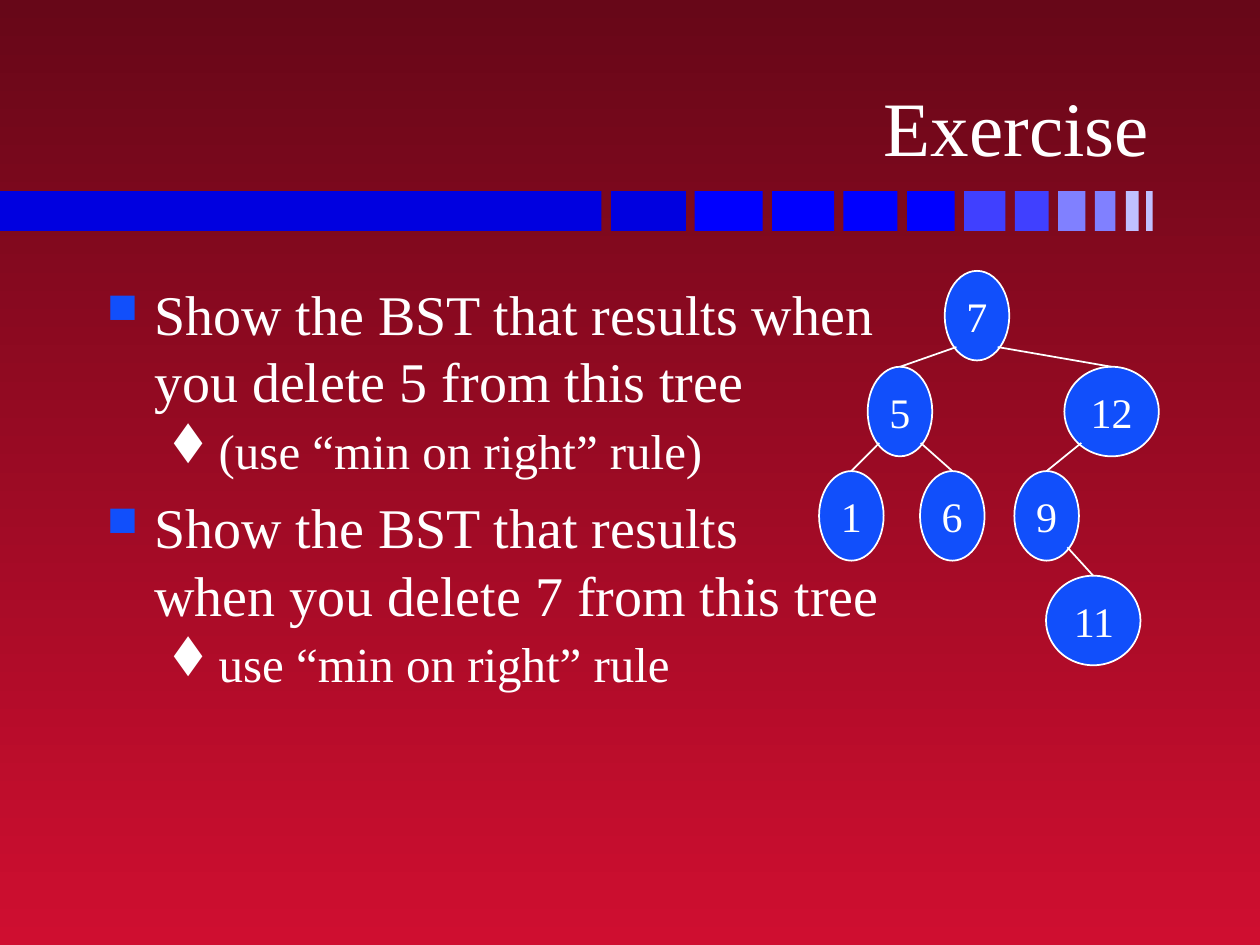
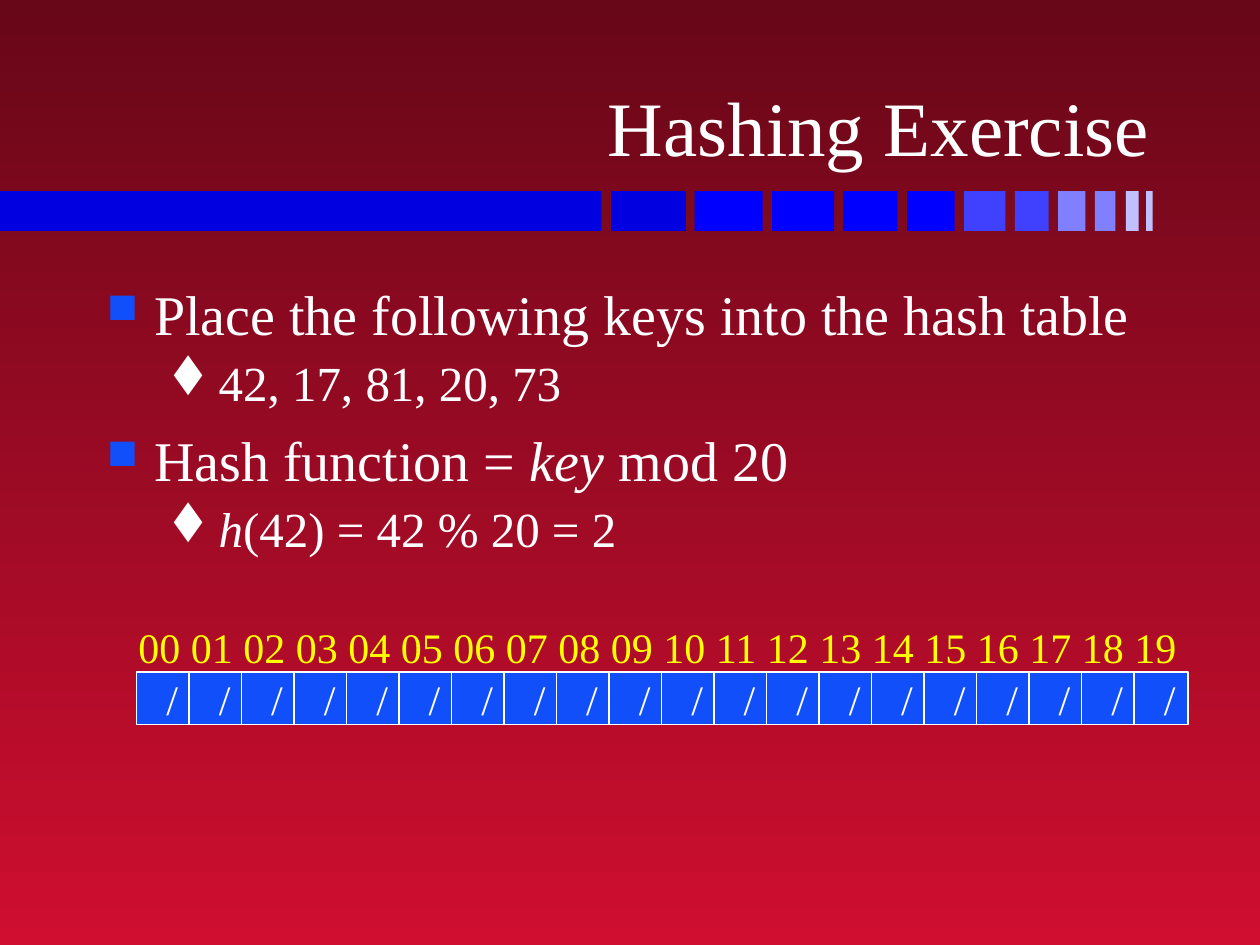
import pptx
import pptx.dml.color
import pptx.enum.shapes
import pptx.enum.text
import pptx.oxml.xmlchemy
import pptx.util

Pt = pptx.util.Pt
SHAPE = pptx.enum.shapes.MSO_SHAPE
ALIGN = pptx.enum.text.PP_ALIGN
ANCHOR = pptx.enum.text.MSO_ANCHOR
OxmlElement = pptx.oxml.xmlchemy.OxmlElement


def color(value):
    return pptx.dml.color.RGBColor.from_string(value)


def element(tag, **attributes):
    e = OxmlElement(tag)
    for name, value in attributes.items():
        e.set(name, str(value))
    return e


class Deck:
    FONT, BULLET_FONT = "Times New Roman", "Wingdings"
    WHITE, BLUE, YELLOW = "FFFFFF", "114FFB", "FFFF00"
    GRADIENT = ("670718", "CF0E30")
    BAND_TOP, BAND_HEIGHT = 109.2, 22.8
    BAND = [
        (0, 343.7, "0000E0"), (349.2, 42.8, "0000E0"),
        (396.9, 39, "0000FF"), (441.2, 35.4, "0000FF"),
        (481.9, 31, "0000FF"), (518.3, 27.3, "0000FF"),
        (550.9, 23.6, "4040FF"), (579.9, 19.3, "4040FF"),
        (604.6, 15.7, "8080FF"), (625.7, 11.7, "8080FF"),
        (643.3, 7.4, "C0C0FF"), (654.9, 3.7, "C0C0FF"),
    ]
    LEVELS = [
        dict(size=32, left=27, hang=27, before=8, mark="n", tint=BLUE, scale=75),
        dict(size=28, left=58.5, hang=22.5, before=3.5, mark="t", tint=WHITE, scale=100),
    ]

    def __init__(self):
        self.prs = pptx.Presentation()
        self.prs.slide_width, self.prs.slide_height = Pt(720), Pt(540)
        self.s = None

    def slide(self, title):
        self.s = self.prs.slides.add_slide(self.prs.slide_layouts[6])
        fill = self.s.background.fill
        fill.gradient()
        fill.gradient_angle = 270
        for stop, value in zip(fill.gradient_stops, self.GRADIENT):
            stop.color.rgb = color(value)
        for left, width, value in self.BAND:
            self.shape(SHAPE.RECTANGLE, left, self.BAND_TOP, width, self.BAND_HEIGHT, value)
        tf = self.text_box(53.3, 13.4, 610.5, 88.5)
        tf.vertical_anchor = ANCHOR.BOTTOM
        tf.paragraphs[0].alignment = ALIGN.RIGHT
        self.run(tf.paragraphs[0], title, 44)

    def run(self, p, text, size, value=WHITE, italic=False):
        r = p.add_run()
        r.text = text
        r.font.name, r.font.size, r.font.italic = self.FONT, Pt(size), italic
        r.font.color.rgb = color(value)

    def text_box(self, left, top, width, height, wrap=True):
        tf = self.s.shapes.add_textbox(Pt(left), Pt(top), Pt(width), Pt(height)).text_frame
        tf.word_wrap = wrap
        return tf

    def label(self, text, left, top, width, height):
        tf = self.text_box(left, top, width, height, wrap=False)
        self.run(tf.paragraphs[0], text, 24, self.YELLOW)

    def shape(self, kind, left, top, width, height, value):
        sp = self.s.shapes.add_shape(kind, Pt(left), Pt(top), Pt(width), Pt(height))
        sp.shadow.inherit = False
        sp.fill.solid()
        sp.fill.fore_color.rgb = color(value)
        sp.line.fill.background()
        return sp

    def cell(self, kind, text, left, top, width, height):
        sp = self.shape(kind, left, top, width, height, self.BLUE)
        sp.line.color.rgb = color(self.WHITE)
        sp.line.width = Pt(1)
        tf = sp.text_frame
        tf.word_wrap = False
        tf.vertical_anchor = ANCHOR.MIDDLE
        tf.paragraphs[0].alignment = ALIGN.RIGHT
        self.run(tf.paragraphs[0], text, 24)
        return sp

    def edge(self, parent, child):
        middle = child.left + child.width // 2
        side = 1 if middle > parent.left + parent.width // 2 else -1
        x = parent.left + int(parent.width * (0.5 + 0.32 * side))
        y = parent.top + int(parent.height * 0.85)
        line = self.s.shapes.add_connector(
            pptx.enum.shapes.MSO_CONNECTOR.STRAIGHT, x, y, middle, child.top)
        line.end_connect(child, 0)
        line.line.color.rgb = color(self.WHITE)
        line.line.width = Pt(1)
        line._element.spPr.append(element("a:effectLst"))

    def bullet(self, p, style):
        pPr = p._p.get_or_add_pPr()
        pPr.set("marL", str(Pt(style["left"])))
        pPr.set("indent", str(-Pt(style["hang"])))
        tint = element("a:buClr")
        tint.append(element("a:srgbClr", val=style["tint"]))
        pPr.append(tint)
        pPr.append(element("a:buSzPct", val=style["scale"] * 1000))
        pPr.append(element("a:buFont", typeface=self.BULLET_FONT, pitchFamily=2, charset=2))
        pPr.append(element("a:buChar", char=style["mark"]))

    def body(self, items):
        tf = self.text_box(54, 156.2, 612, 324)
        for i, (level, lines) in enumerate(items):
            p = tf.add_paragraph() if i else tf.paragraphs[0]
            style = self.LEVELS[level]
            p.level = level
            self.bullet(p, style)
            if i:
                p.space_before = Pt(style["before"])
            for j, line in enumerate(lines):
                if j:
                    p.add_line_break()
                for text, italic in line:
                    self.run(p, text, style["size"], italic=italic)


def plain(*lines):
    return [[(line, False)] for line in lines]


def tree_exercise(deck):
    deck.slide("Exercise")
    deck.body([
        (0, plain("Show the BST that results when", "you delete 5 from this tree")),
        (1, plain("(use “min on right” rule)")),
        (0, plain("Show the BST that results", "when you delete 7 from this tree")),
        (1, plain("use “min on right” rule")),
    ])
    row_tops = [154.8, 209.6, 269.2, 329]
    tree = [
        ("7", None, 0, 558.3), ("5", "7", 1, 514.3), ("12", "7", 1, 635.2),
        ("1", "5", 2, 486.5), ("6", "5", 2, 544.2), ("9", "12", 2, 598.1),
        ("11", "9", 3, 624.7),
    ]
    nodes = {}
    for key, parent, row, middle in tree:
        width = 36.9 if len(key) == 1 else 54
        nodes[key] = deck.cell(
            SHAPE.OVAL, key, middle - width / 2, row_tops[row], width, 51.2)
    for key, parent, row, middle in tree:
        if parent:
            deck.edge(nodes[parent], nodes[key])


def hashing_exercise(deck):
    deck.slide("Hashing Exercise")
    deck.body([
        (0, plain("Place the following keys into the hash table")),
        (1, plain("42, 17, 81, 20, 73")),
        (0, [[("Hash function = ", False), ("key", True), (" mod 20", False)]]),
        (1, [[("h", True), ("(42) = 42 % 20 = 2", False)]]),
    ])
    slots, pitch = 20, 30
    for i in range(slots):
        deck.cell(SHAPE.RECTANGLE, "/", 78 + i * pitch, 384, 30.75, 30)
    deck.label(" ".join(f"{i:02d}" for i in range(slots)), 72, 351.4, 608.4, 36)


def main():
    deck = Deck()
    tree_exercise(deck)
    hashing_exercise(deck)
    deck.prs.save("out.pptx")


if __name__ == "__main__":
    main()
